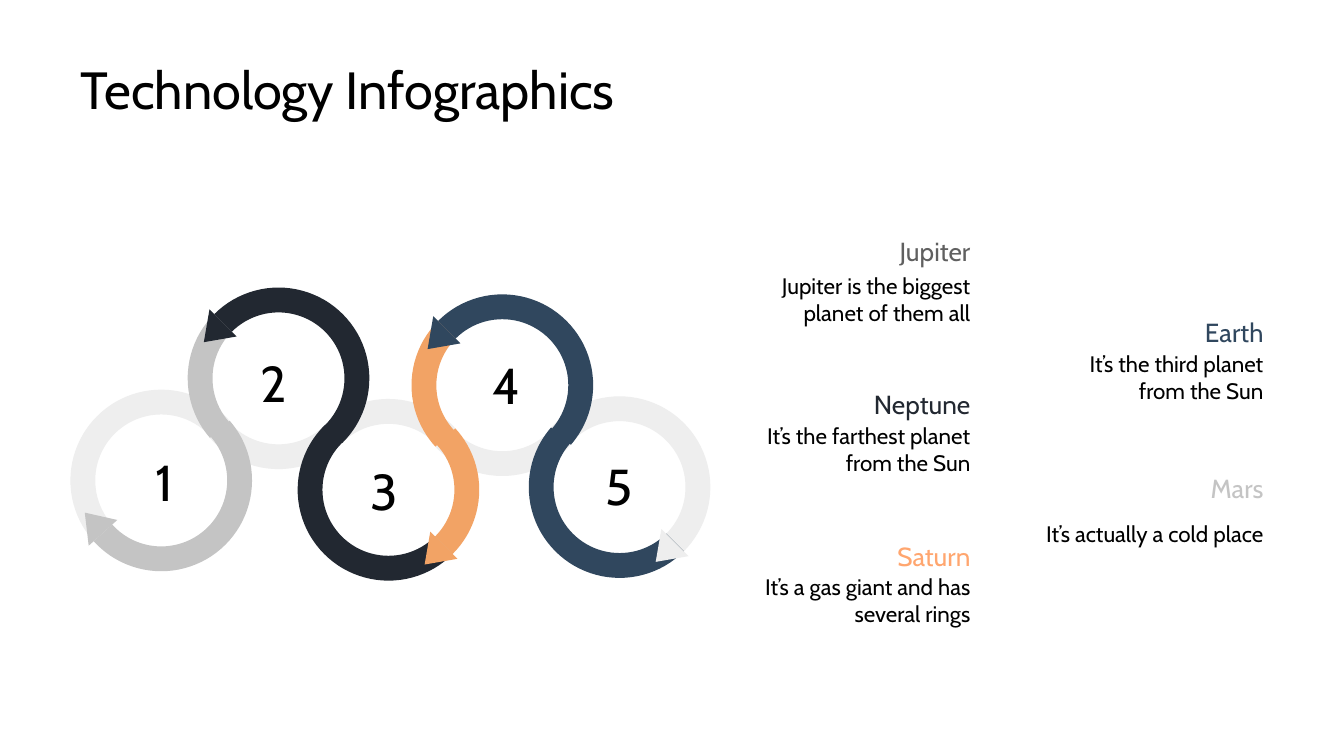
"""Build the Technology Infographics slide: five linked loops and a list of planets."""
from dataclasses import dataclass
from math import atan2, cos, degrees, radians, sin
from typing import NamedTuple

from lxml import etree
from pptx import Presentation
from pptx.dml.color import RGBColor
from pptx.enum.text import MSO_ANCHOR, MSO_AUTO_SIZE, PP_ALIGN
from pptx.oxml.ns import qn
from pptx.shapes.autoshape import Shape
from pptx.slide import Slide
from pptx.text.text import TextFrame
from pptx.util import Pt

LEFT, CENTER, RIGHT = PP_ALIGN.LEFT, PP_ALIGN.CENTER, PP_ALIGN.RIGHT
MIDDLE = MSO_ANCHOR.MIDDLE
NO_AUTOFIT = MSO_AUTO_SIZE.NONE


@dataclass(frozen=True)
class Theme:
    font: str = "Cabin"
    text: str = "000000"
    pale: str = "EEEEEE"
    silver: str = "C4C4C4"
    gray: str = "606060"
    ink: str = "222831"
    navy: str = "30475E"
    orange: str = "F2A365"
    peach: str = "FFA66F"
    title_size: float = 28
    number_size: float = 27
    name_size: float = 14
    body_size: float = 12


class Point(NamedTuple):
    x: float
    y: float


class Box(NamedTuple):
    left: float
    top: float
    width: float
    height: float


class Arc(NamedTuple):
    loop: int
    start: float
    end: float
    radius: float = 42


class Head(NamedTuple):
    loop: int
    angle: float
    turn: int
    color: str


class Loop(NamedTuple):
    center: Point
    label: Point


class Planet(NamedTuple):
    name: str
    description: str
    color: str
    left: float
    top: float
    gap: float = 20.5


THEME = Theme()
RADIUS, BAND_WIDTH = 42, 13.3
HEAD_LENGTH, HEAD_WIDTH = 14.6, 20.6
ARC_STEPS = 60
INSET, NUMBER_SIDE = 7.2, 38
PLANET_WIDTH, NAME_HEIGHT, BODY_HEIGHT = 134, 21, 28
FIRST_COLUMN, SECOND_COLUMN = 393, 550

LOOPS = [
    Loop(Point(86.4, 257.4), Point(88.2, 258.1)),
    Loop(Point(149.2, 202.7), Point(146.5, 204.8)),
    Loop(Point(208.1, 262.4), Point(205.6, 262.4)),
    Loop(Point(269.1, 206.4), Point(271.1, 205.9)),
    Loop(Point(331.9, 261.0), Point(331.6, 259.9)),
]
PLANETS = [
    Planet("Jupiter", "Jupiter is the biggest planet of them all", THEME.gray, FIRST_COLUMN, 123.8, 22.3),
    Planet("Neptune", "It’s the farthest planet from the Sun", THEME.ink, FIRST_COLUMN, 206),
    Planet("Saturn", "It’s a gas giant and has several rings", THEME.peach, FIRST_COLUMN, 287.2),
    Planet("Earth", "It’s the third planet from the Sun", THEME.navy, SECOND_COLUMN, 167.6),
    Planet("Mars", "It’s actually a cold place", THEME.silver, SECOND_COLUMN, 251.2),
]


def on_loop(loop: int, angle: float, radius: float) -> Point:
    """Return the point at an angle and radius around a loop's center."""
    center = LOOPS[loop].center
    return Point(center.x + radius * cos(radians(angle)), center.y + radius * sin(radians(angle)))


def contact(loop: int) -> float:
    """Return the angle at which a loop touches the next one."""
    here, there = LOOPS[loop].center, LOOPS[loop + 1].center
    return degrees(atan2(there.y - here.y, there.x - here.x))


def edge(arcs: list[Arc], offset: float) -> list[Arc]:
    """Shift arcs to one side of the band, keeping that side when the turn reverses."""
    return [arc._replace(radius=arc.radius + (offset if arc.end > arc.start else -offset)) for arc in arcs]


def sample(arc: Arc) -> list[Point]:
    """Return evenly spaced points along an arc."""
    sweep = arc.end - arc.start
    return [on_loop(arc.loop, arc.start + sweep * step / ARC_STEPS, arc.radius) for step in range(ARC_STEPS + 1)]


def draw_polygon(slide: Slide, points: list[Point], color: str) -> Shape:
    """Draw a filled outline through the points."""
    corners = [(Pt(point.x), Pt(point.y)) for point in points]
    builder = slide.shapes.build_freeform(*corners[0])
    builder.add_line_segments(corners[1:], close=True)
    shape = builder.convert_to_shape()
    shape.shadow.inherit = False
    shape.fill.solid()
    shape.fill.fore_color.rgb = RGBColor.from_string(color)
    shape.line.fill.background()
    return shape


def draw_band(slide: Slide, arcs: list[Arc], color: str) -> None:
    """Draw a band of even width, turning each sampled run into a true arc."""
    half = BAND_WIDTH / 2
    inner = [arc._replace(start=arc.end, end=arc.start) for arc in edge(arcs, -half)[::-1]]
    outline_arcs = edge(arcs, half) + inner
    shape = draw_polygon(slide, [point for arc in outline_arcs for point in sample(arc)], color)
    outline = shape.element.find(".//" + qn("a:path"))
    segments = list(outline)
    for index, arc in enumerate(outline_arcs):
        first = index * (ARC_STEPS + 1)
        for segment in segments[first + 1:first + ARC_STEPS + 1]:
            outline.remove(segment)
        curve = etree.Element(qn("a:arcTo"))
        curve.set("wR", str(Pt(arc.radius)))
        curve.set("hR", str(Pt(arc.radius)))
        curve.set("stAng", str(round(arc.start % 360 * 60000)))
        curve.set("swAng", str(round((arc.end - arc.start) * 60000)))
        segments[first].addnext(curve)


def draw_head(slide: Slide, head: Head) -> None:
    """Draw an arrowhead along the tangent of a loop."""
    base = on_loop(head.loop, head.angle, RADIUS)
    reach = HEAD_LENGTH * head.turn
    tip = Point(base.x - reach * sin(radians(head.angle)), base.y + reach * cos(radians(head.angle)))
    corners = [on_loop(head.loop, head.angle, RADIUS + side * HEAD_WIDTH / 2) for side in (-1, 1)]
    draw_polygon(slide, [tip, *corners], head.color)


def write(frame: TextFrame, text: str, size: float, color: str, alignment: PP_ALIGN) -> None:
    """Fill a text frame with one formatted run."""
    frame.word_wrap = True
    frame.auto_size = NO_AUTOFIT
    frame.vertical_anchor = MIDDLE
    frame.margin_left = frame.margin_right = frame.margin_top = frame.margin_bottom = Pt(INSET)
    paragraph = frame.paragraphs[0]
    paragraph.alignment = alignment
    run = paragraph.add_run()
    run.text = text
    run.font.name = THEME.font
    run.font.size = Pt(size)
    run.font.color.rgb = RGBColor.from_string(color)


def add_label(slide: Slide, box: Box, text: str, size: float, color: str, alignment: PP_ALIGN) -> None:
    """Add a text box holding one run."""
    shape = slide.shapes.add_textbox(*map(Pt, box))
    write(shape.text_frame, text, size, color, alignment)


def add_title(slide: Slide, text: str) -> None:
    """Place and format the title placeholder."""
    title = slide.shapes.title
    title.left, title.top, title.width, title.height = map(Pt, Box(36, 32.4, 339, 30.2))
    write(title.text_frame, text, THEME.title_size, THEME.text, LEFT)


def draw_chain(slide: Slide) -> None:
    """Draw the linked loops with their arrowheads and numbers."""
    first, second, third, fourth = (contact(loop) for loop in range(4))
    bands = [
        ([Arc(0, first, -222)], THEME.pale),
        ([Arc(1, first + 180, second)], THEME.pale),
        ([Arc(2, second + 180, third + 360)], THEME.pale),
        ([Arc(3, third + 180, fourth)], THEME.pale),
        ([Arc(4, fourth + 180, 405)], THEME.pale),
        ([Arc(1, 225, first + 180), Arc(0, first, 138)], THEME.silver),
        ([Arc(1, 225, second + 360), Arc(2, second + 180, 45)], THEME.ink),
        ([Arc(3, 225, third + 180), Arc(2, third, 45)], THEME.orange),
        ([Arc(3, 225, fourth + 360), Arc(4, fourth + 180, 45)], THEME.navy),
    ]
    heads = [
        Head(0, 138, 1, THEME.silver),
        Head(1, 225, -1, THEME.ink),
        Head(2, 45, 1, THEME.orange),
        Head(3, 225, -1, THEME.navy),
        Head(4, 45, 1, THEME.pale),
    ]
    for arcs, color in bands:
        draw_band(slide, arcs, color)
    for head in heads:
        draw_head(slide, head)
    for number, loop in enumerate(LOOPS, start=1):
        box = Box(loop.label.x - NUMBER_SIDE / 2, loop.label.y - NUMBER_SIDE / 2, NUMBER_SIDE, NUMBER_SIDE)
        add_label(slide, box, str(number), THEME.number_size, THEME.text, CENTER)


def main() -> None:
    """Build and save the presentation."""
    presentation = Presentation()
    presentation.slide_width, presentation.slide_height = Pt(720), Pt(405)
    slide = presentation.slides.add_slide(presentation.slide_layouts[5])
    add_title(slide, "Technology Infographics")
    draw_chain(slide)
    for planet in PLANETS:
        name_box = Box(planet.left, planet.top, PLANET_WIDTH, NAME_HEIGHT)
        body_box = Box(planet.left, planet.top + planet.gap, PLANET_WIDTH, BODY_HEIGHT)
        add_label(slide, name_box, planet.name, THEME.name_size, planet.color, RIGHT)
        add_label(slide, body_box, planet.description, THEME.body_size, THEME.text, RIGHT)
    presentation.save("out.pptx")


if __name__ == "__main__":
    main()
